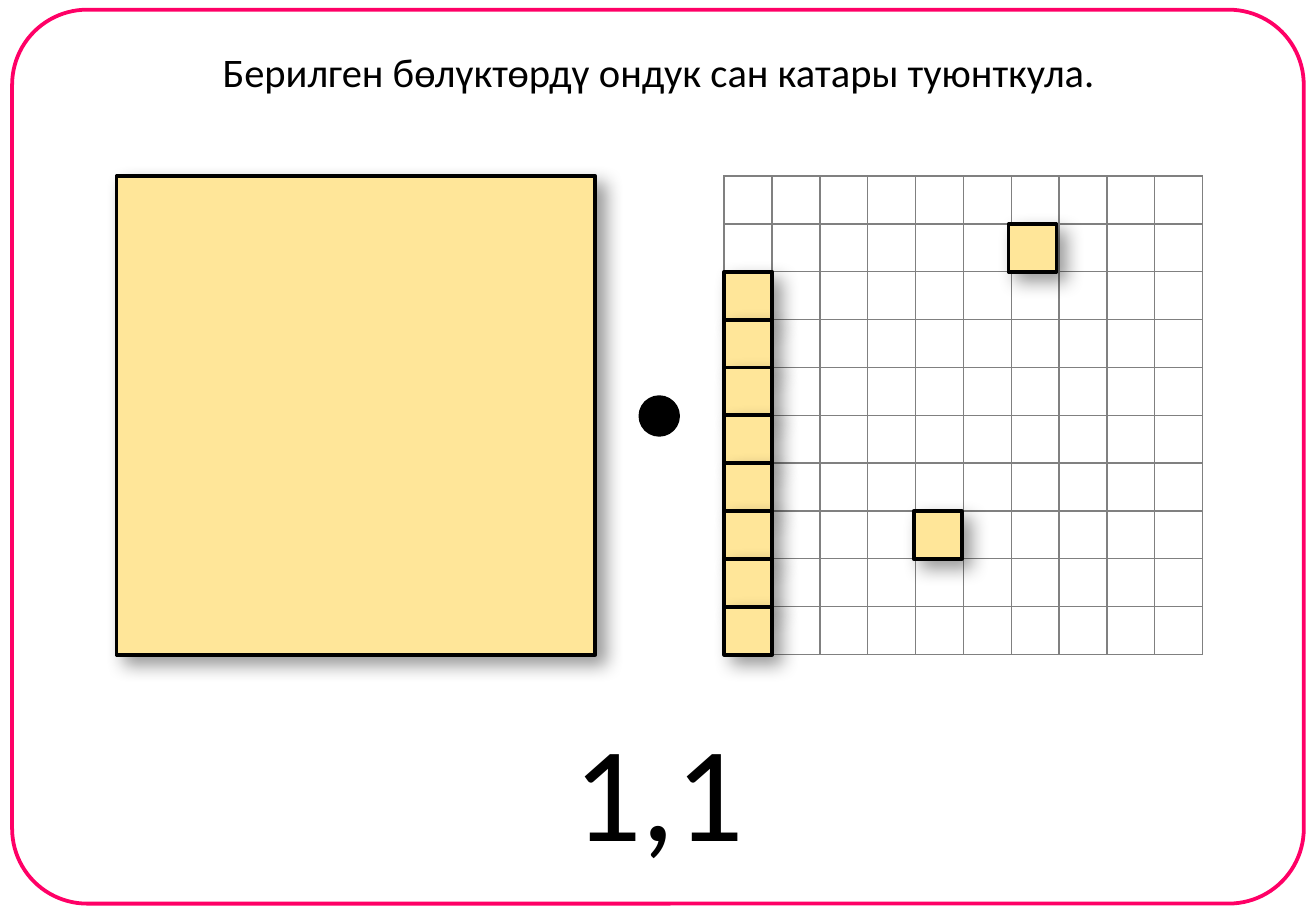
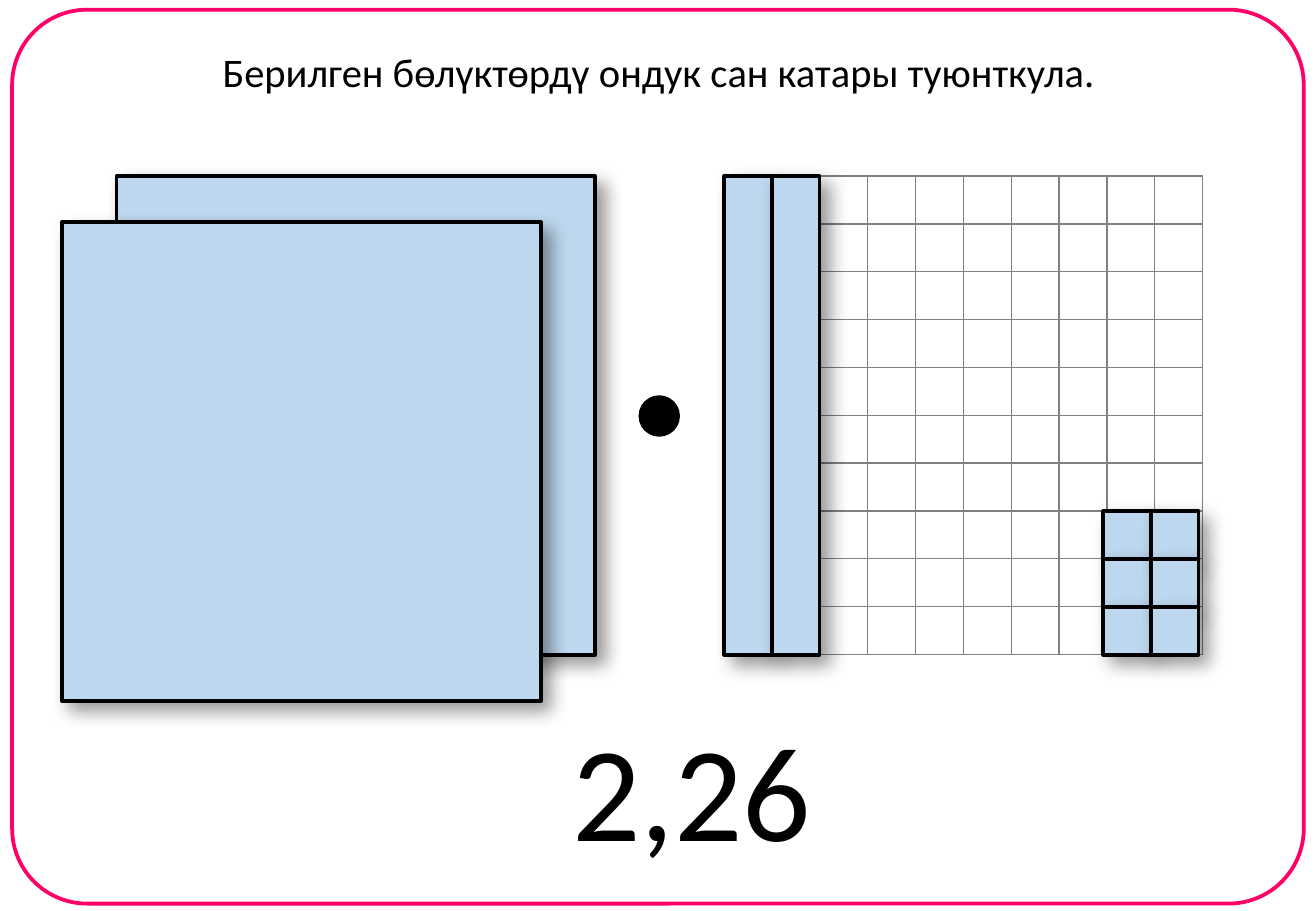
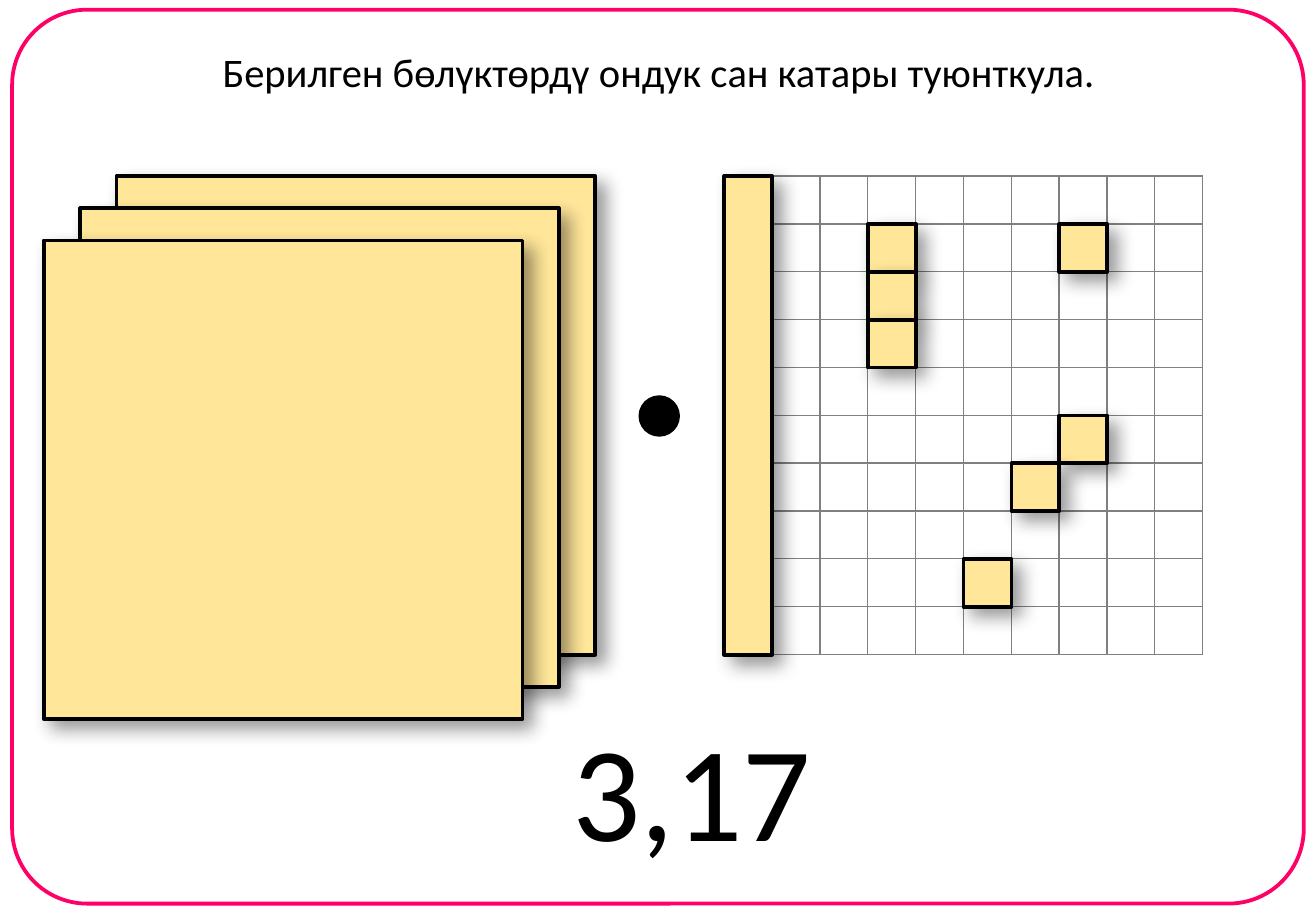
"""Build three flash cards that show decimals as wholes, tenths and hundredths."""
import pptx
import pptx.util
import pptx.dml.color
import pptx.enum.shapes
import pptx.enum.text
import pptx.oxml
import pptx.oxml.ns

Inches = pptx.util.Inches
Pt = pptx.util.Pt
KINDS = pptx.enum.shapes.MSO_SHAPE
NS = pptx.oxml.ns.nsdecls("a")

TITLE = "Берилген бөлүктөрдү ондук сан катары туюнткула."
FONT = "Calibri"
PINK, BLACK, GRAY, WHITE = "FF0066", "000000", "808080", "FFFFFF"
GOLD, BLUE = "FFE699", "BDD7EE"
SIDE = 3.94
CELL = SIDE / 10
LEFT, GRID, TOP = 0.96, 5.96, 1.45

SHADOW = (
    f'<a:outerShdw {NS} blurRad="{Pt(11)}" dist="{Pt(7)}" dir="2700000" '
    f'algn="tl" rotWithShape="0"><a:srgbClr val="{BLACK}">'
    '<a:alpha val="40000"/></a:srgbClr></a:outerShdw>'
)
BORDER = (
    '<a:{} {} w="{}"><a:solidFill><a:srgbClr val="{}"/></a:solidFill></a:{}>'
)

CARDS = [
    {
        "answer": "1,1", "box": (4.61, 1.62), "color": GOLD,
        "wholes": 1, "step": (0, 0), "pitch": 0.39,
        "tenths": [],
        "cells": [(6, 1), (4, 7)] + [(0, row) for row in range(2, 10)],
    },
    {
        "answer": "2,26", "box": (4.6, 2.19), "color": BLUE,
        "wholes": 2, "step": (-0.45, 0.38), "pitch": 0.39,
        "tenths": [0, 1],
        "cells": [(col, row) for col in (8, 9) for row in (7, 8, 9)],
    },
    {
        "answer": "3,17", "box": (4.6, 2.19), "color": GOLD,
        "wholes": 3, "step": (-0.3, 0.265), "pitch": CELL,
        "tenths": [0],
        "cells": [(3, 1), (3, 2), (3, 3), (7, 1), (7, 5), (6, 6), (5, 8)],
    },
]


def draw(slide, kind, at, fill, line=BLACK, shade=False):
    """Add an outlined shape, with an optional fill and shadow."""
    shape = slide.shapes.add_shape(kind, *map(Inches, at))
    shape.shadow.inherit = False
    if fill:
        shape.fill.solid()
        shape.fill.fore_color.rgb = pptx.dml.color.RGBColor.from_string(fill)
    else:
        shape.fill.background()
    shape.line.color.rgb = pptx.dml.color.RGBColor.from_string(line)
    shape.line.width = Pt(2.25)
    if shade:
        effects = shape._element.spPr.find(pptx.oxml.ns.qn("a:effectLst"))
        effects.append(pptx.oxml.parse_xml(SHADOW))
    return shape


def write(slide, text, at, size):
    """Add one centred line of text."""
    box = slide.shapes.add_textbox(*map(Inches, at))
    frame = box.text_frame
    frame.text = text
    frame.word_wrap = False
    frame.auto_size = pptx.enum.text.MSO_AUTO_SIZE.SHAPE_TO_FIT_TEXT
    para = frame.paragraphs[0]
    para.alignment = pptx.enum.text.PP_ALIGN.CENTER
    font = para.runs[0].font
    font.name = FONT
    font.size = Pt(size)
    font.color.rgb = pptx.dml.color.RGBColor.from_string(BLACK)


deck = pptx.Presentation()
deck.slide_width = Inches(10.83)
deck.slide_height = Inches(7.5)

for card in CARDS:
    slide = deck.slides.add_slide(deck.slide_layouts[6])
    color, pitch = card["color"], card["pitch"]

    frame = draw(slide, KINDS.ROUNDED_RECTANGLE, (0.1, 0.08, 10.63, 7.36), None, PINK)
    frame.adjustments[0] = 0.084

    place = map(Inches, (GRID, TOP, SIDE, SIDE))
    grid = slide.shapes.add_table(10, 10, *place).table
    grid.first_row = False
    grid.horz_banding = False
    for cell in grid.iter_cells():
        cell.margin_left = cell.margin_right = 0
        cell.margin_top = cell.margin_bottom = 0
        props = cell._tc.get_or_add_tcPr()
        for edge in ("lnL", "lnR", "lnT", "lnB"):
            line = BORDER.format(edge, NS, Pt(1), GRAY, edge)
            props.append(pptx.oxml.parse_xml(line))
        cell.fill.solid()
        cell.fill.fore_color.rgb = pptx.dml.color.RGBColor.from_string(WHITE)

    across, down = card["step"]
    blocks = [
        (LEFT + i * across, TOP + i * down, SIDE, SIDE)
        for i in range(card["wholes"])
    ]
    blocks += [(GRID + col * pitch, TOP, CELL, SIDE) for col in card["tenths"]]
    blocks += [
        (GRID + col * pitch, TOP + row * CELL, CELL, CELL)
        for col, row in card["cells"]
    ]
    for block in blocks:
        draw(slide, KINDS.RECTANGLE, block, color, shade=True)

    draw(slide, KINDS.OVAL, (5.27, 3.27, 0.31, 0.31), BLACK)

    left, width = card["box"]
    write(slide, card["answer"], (left, 5.77, width, 1.45), 80)
    write(slide, TITLE, (1.69, 0.34, 7.46, 0.5), 24)

deck.save("out.pptx")
